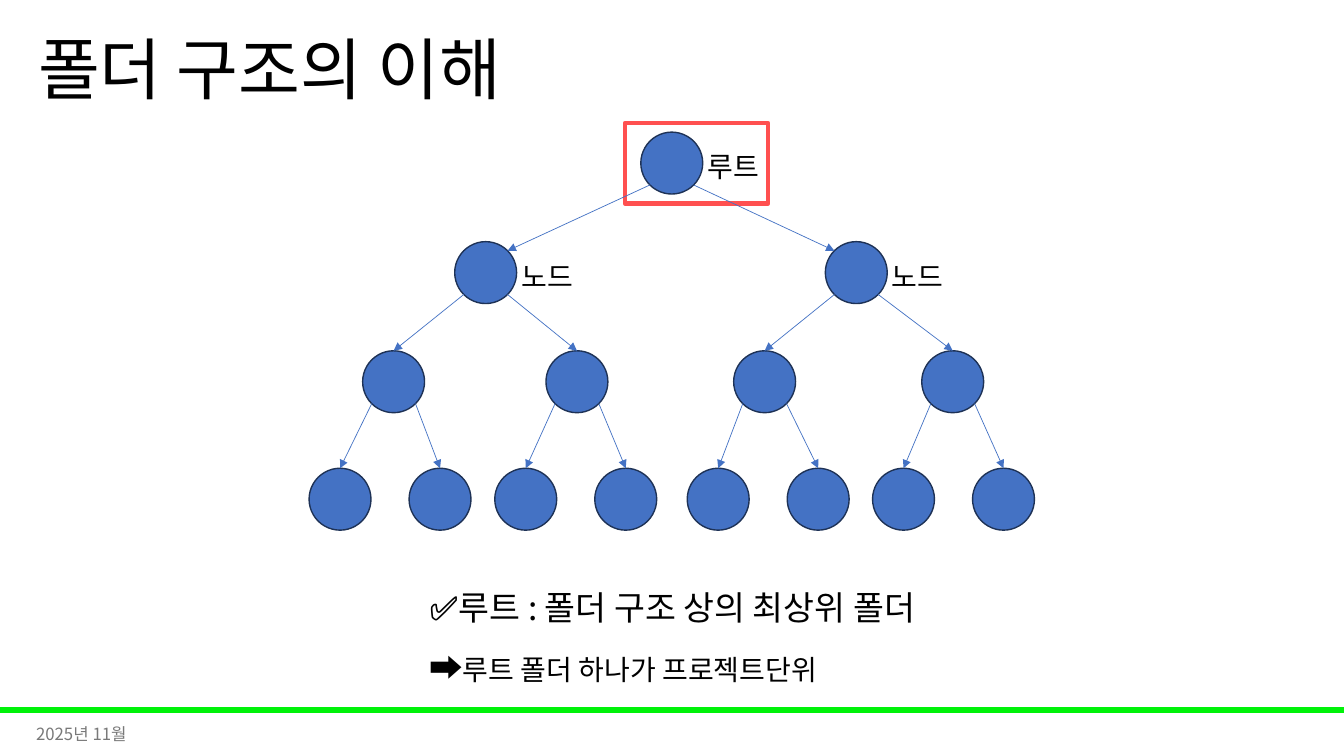
"""Build a slide that explains a folder tree with its root and nodes."""
from lxml import etree
from pptx import Presentation
from pptx.dml.color import RGBColor
from pptx.enum.shapes import MSO_CONNECTOR, MSO_SHAPE
from pptx.enum.text import MSO_ANCHOR, MSO_AUTO_SIZE, PP_ALIGN
from pptx.oxml.ns import qn
from pptx.util import Cm, Pt

OVAL, RECT = MSO_SHAPE.OVAL, MSO_SHAPE.RECTANGLE
LINE = MSO_CONNECTOR.STRAIGHT
TOP, MIDDLE = MSO_ANCHOR.TOP, MSO_ANCHOR.MIDDLE
FIXED, LEFT = MSO_AUTO_SIZE.NONE, PP_ALIGN.LEFT
FONT = "Noto Sans CJK KR"
BLUE, NAVY, RED, GREEN = "4472C4", "1E3256", "FF5050", "00F209"
BLACK, GRAY = "000000", "797979"


def paint(target, tone):
    target.rgb = RGBColor.from_string(tone)


def write(frame, parts, tone=BLACK, space=1.0, **form):
    base = {"word_wrap": True, "auto_size": FIXED, "vertical_anchor": TOP}
    for key, value in (base | form).items():
        setattr(frame, key, value)
    para = frame.paragraphs[0]
    para.alignment, para.line_spacing = LEFT, space
    for text, size in parts:
        run = para.add_run()
        run.text = text
        for key, value in {"name": FONT, "size": Pt(size)}.items():
            setattr(run.font, key, value)
        run.font.fill.solid()
        paint(run.font.fill.fore_color, tone)
        latin = run.font._element.find(qn("a:latin"))
        east = etree.Element(qn("a:ea"), typeface=FONT)
        latin.addnext(east)


deck = Presentation()
deck.slide_width, deck.slide_height = Cm(33.87), Cm(19.05)
slide = deck.slides.add_slide(deck.slide_layouts[5])
shapes = slide.shapes

title = shapes.title
place = {"left": 0.71, "top": 0, "width": 29.21, "height": 3.68}
for key, value in place.items():
    setattr(title, key, Cm(value))
write(title.text_frame, [("폴더 구조의 이해", 48)], space=0.9,
      vertical_anchor=MIDDLE)

size = 1.56
half = size / 2
edge = half * 0.707
leaf = 2.52
twigs = [9.92, 14.54, 19.27, 24.01]
starts = [8.57, 13.25, 18.1, 22.77]
levels = [
    (4.11, [16.93]),
    (6.87, [12.24, 21.58]),
    (9.62, twigs),
    (12.58, [x + step for x in starts for step in (0, leaf)]),
]

frames = [(RECT, 0, 17.83, 33.87, 0.13, GREEN, GREEN, 1)]
frames += [(OVAL, x - half, y - half, size, size, BLUE, NAVY, 1)
           for y, row in levels for x in row]
frames += [(RECT, 15.75, 3.1, 3.61, 2.03, None, RED, 3)]
for kind, x, y, wide, high, fill, rim, thick in frames:
    shape = shapes.add_shape(kind, Cm(x), Cm(y), Cm(wide), Cm(high))
    shape.shadow.inherit = False
    if fill:
        shape.fill.solid()
        paint(shape.fill.fore_color, fill)
    else:
        shape.fill.background()
    paint(shape.line.color, rim)
    shape.line.width = Pt(thick)

for depth, (upper, lower) in enumerate(zip(levels, levels[1:])):
    for spot, end in enumerate(lower[1]):
        start = upper[1][spot // 2]
        side = 1 if spot % 2 else -1
        shift, rise = (-side * edge, edge) if depth == 0 else (0, half)
        arrow = shapes.add_connector(
            LINE, Cm(start + side * edge), Cm(upper[0] + edge),
            Cm(end + shift), Cm(lower[0] - rise))
        paint(arrow.line.color, BLUE)
        arrow.line.width = Pt(0.5)
        etree.SubElement(arrow.line._get_or_add_ln(), qn("a:tailEnd"),
                         type="triangle")
        etree.SubElement(arrow._element.spPr, qn("a:effectLst"))

for name, (y, row) in zip(["루트", "노드"], levels):
    for x in row:
        label = shapes.add_textbox(Cm(x + 0.65), Cm(y - 0.46),
                                   Cm(1.88), Cm(1.11))
        write(label.text_frame, [(name, 20)], word_wrap=False)

note = shapes.add_textbox(Cm(10.57), Cm(14.15), Cm(12.78), Cm(3.15))
write(note.text_frame, [("✅루트 : 폴더 구조 상의 최상위 폴더 ➡️", 24),
                        ("루트 폴더 하나가 프로젝트단위", 20)], space=1.5)
date = shapes.add_textbox(Cm(0.66), Cm(17.98), Cm(7.62), Cm(1.02))
write(date.text_frame, [("2025년 11월", 12)], GRAY, vertical_anchor=MIDDLE)

deck.save("out.pptx")
